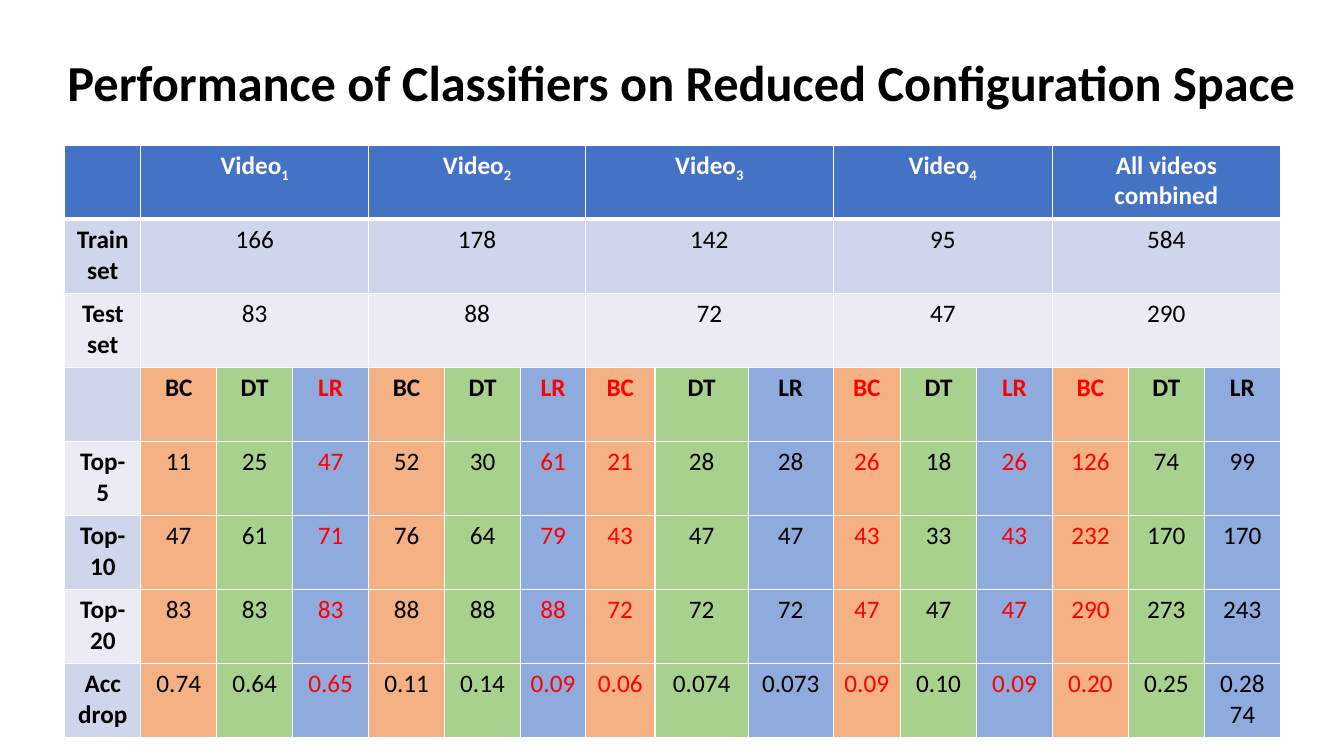
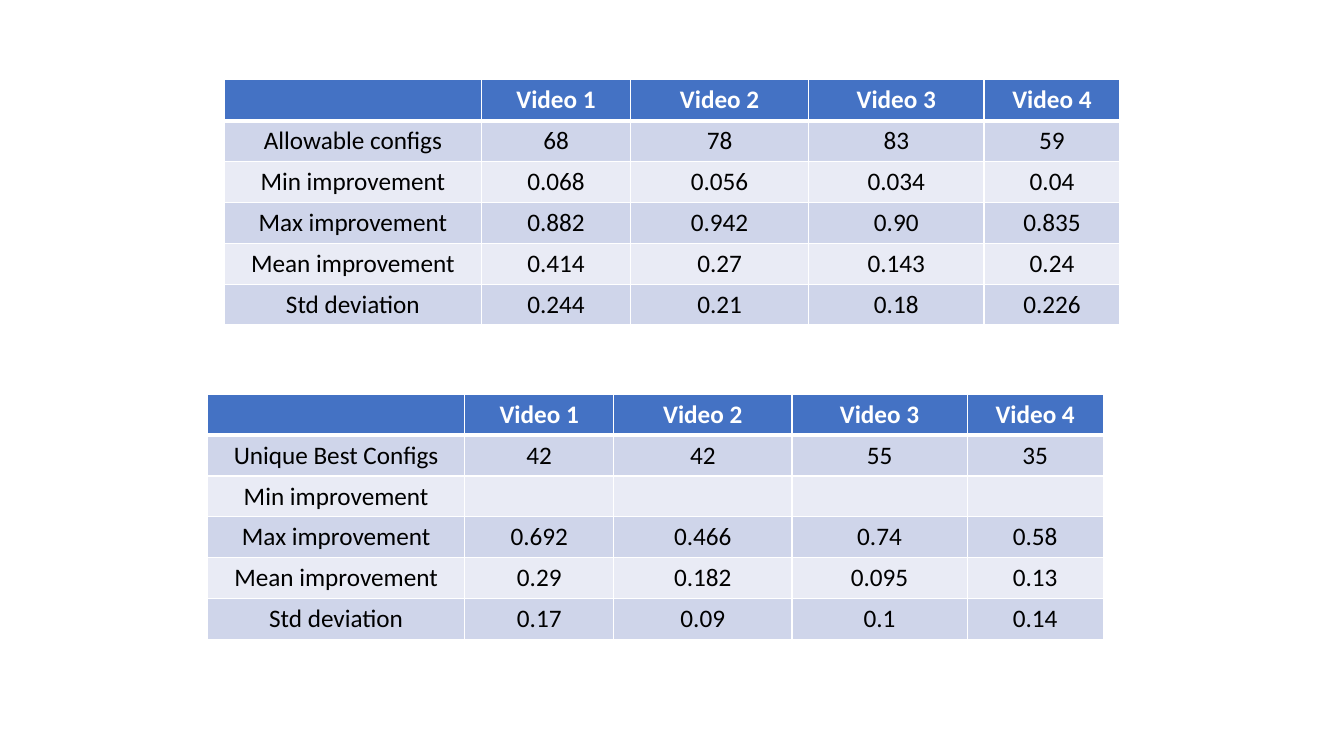
import pptx
import pptx.dml.color
import pptx.enum.text
import pptx.oxml
import pptx.oxml.ns
import pptx.util

Pt = pptx.util.Pt
RGBColor = pptx.dml.color.RGBColor
COLORS = {
    "header": "4472C4", "dark band": "CFD5EA", "light band": "E9EBF5",
    "BC": "F4B183", "DT": "A9D18E", "LR": "8FAADC",
    "white": "FFFFFF", "black": "000000", "best": "FF0000",
}
FONT = "Calibri"


def write(frame, text, size=18, color="black", bold=False, align="CENTER"):
    paragraph = frame.paragraphs[0]
    paragraph.alignment = getattr(pptx.enum.text.PP_ALIGN, align)
    for index, part in enumerate(text.split("_") if text else []):
        run = paragraph.add_run()
        run.text = part
        run.font.name = FONT
        run.font.size = Pt(size)
        run.font.bold = bold
        run.font.color.rgb = RGBColor.from_string(COLORS[color])
        if index:
            run._r.get_or_add_rPr().set("baseline", "-25000")


def add_table(slide, left, top, widths, row_height, rows, bold_labels=False, classifiers=(), best=()):
    frame = slide.shapes.add_table(len(rows), len(widths), Pt(left), Pt(top),
                                   Pt(sum(widths)), Pt(row_height * len(rows)))
    table = frame.table
    for column, width in zip(table.columns, widths):
        column.width = Pt(width)
    for row_index, values in enumerate(rows):
        table.rows[row_index].height = Pt(row_height)
        in_classifiers = classifiers and row_index >= rows.index(classifiers)
        for column_index, value in enumerate(values):
            cell = table.cell(row_index, column_index)
            properties = cell._tc.get_or_add_tcPr()
            for side in "LRTB":
                thick = (row_index, side) in [(0, "B"), (1, "T")]
                properties.append(pptx.oxml.parse_xml(
                    f'<a:ln{side} {pptx.oxml.ns.nsdecls("a")} w="{Pt(3 if thick else 1)}"><a:solidFill>'
                    f'<a:srgbClr val="{COLORS["white"]}"/></a:solidFill></a:ln{side}>'))
            fill = "header" if row_index == 0 else "dark band" if row_index % 2 else "light band"
            color = "white" if row_index == 0 else "black"
            if in_classifiers and column_index:
                fill = classifiers[column_index]
                color = "best" if column_index in best else "black"
            cell.fill.solid()
            cell.fill.fore_color.rgb = RGBColor.from_string(COLORS[fill])
            bold = row_index == 0 or values is classifiers or (bold_labels and column_index == 0)
            write(cell.text_frame, value, color=color, bold=bold)
    return table


presentation = pptx.Presentation()
presentation.slide_width = Pt(960)
presentation.slide_height = Pt(540)

slide = presentation.slides.add_slide(presentation.slide_layouts[5])
title = slide.shapes.title
title.left, title.top, title.width, title.height = Pt(41), Pt(32.4), Pt(901.5), Pt(51)
title.text_frame.word_wrap = True
title.text_frame.auto_size = pptx.enum.text.MSO_AUTO_SIZE.NONE
write(title.text_frame, "Performance of Classifiers on Reduced Configuration Space",
      size=36, bold=True, align="LEFT")

video_rows = [
    ["", "Video_1", "Video_2", "Video_3", "Video_4", "All videos combined"],
    ["Train set", "166", "178", "142", "95", "584"],
    ["Test set", "83", "88", "72", "47", "290"],
]
classifier_names = [""] + ["BC", "DT", "LR"] * 5
score_rows = [
    "Top-5 11 25 47 52 30 61 21 28 28 26 18 26 126 74 99".split(),
    "Top-10 47 61 71 76 64 79 43 47 47 43 33 43 232 170 170".split(),
    "Top-20 83 83 83 88 88 88 72 72 72 47 47 47 290 273 243".split(),
    ["Acc drop"] + ("0.74 0.64 0.65 0.11 0.14 0.09 0.06 0.074 0.073 "
                    "0.09 0.10 0.09 0.20 0.25 0.2874").split(),
]
spread_rows = [[label] + [text for value in values for text in (value, "", "")]
               for label, *values in video_rows]
score_widths = [54.26] * 6 + [46.5, 49.5, 66.8, 60.5, 48.2] + [54.26] * 5
score_table = add_table(slide, 46.3, 103.7, score_widths, 52.92,
                        spread_rows + [classifier_names] + score_rows, bold_labels=True,
                        classifiers=classifier_names, best=(3, 6, 7, 10, 12, 13))
for row_index in range(len(video_rows)):
    for first in range(1, 16, 3):
        score_table.cell(row_index, first).merge(score_table.cell(row_index, first + 2))

slide = presentation.slides.add_slide(presentation.slide_layouts[6])
video_header = ["", "Video 1", "Video 2", "Video 3", "Video 4"]
improvement_tables = [
    (160.2, 57, [
        ["Allowable configs", "68", "78", "83", "59"],
        ["Min improvement", "0.068", "0.056", "0.034", "0.04"],
        ["Max improvement", "0.882", "0.942", "0.90", "0.835"],
        ["Mean improvement", "0.414", "0.27", "0.143", "0.24"],
        ["Std deviation", "0.244", "0.21", "0.18", "0.226"],
    ]),
    (148.2, 281.6, [
        ["Unique Best Configs", "42", "42", "55", "35"],
        ["Min improvement", "", "", "", ""],
        ["Max improvement", "0.692", "0.466", "0.74", "0.58"],
        ["Mean improvement", "0.29", "0.182", "0.095", "0.13"],
        ["Std deviation", "0.17", "0.09", "0.1", "0.14"],
    ]),
]
for left, top, rows in improvement_tables:
    add_table(slide, left, top, [183.8, 106.4, 127.3, 125.2, 97.2], 29.2, [video_header] + rows)

presentation.save("out.pptx")
